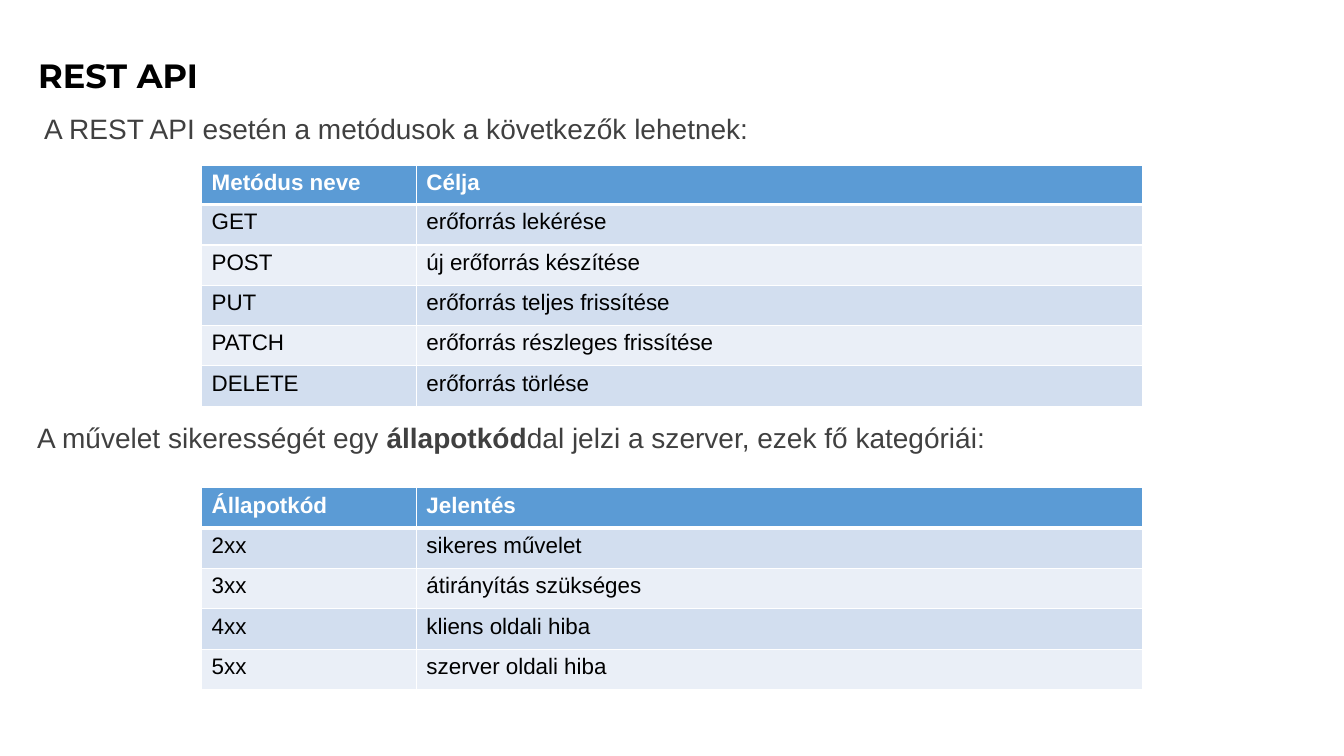
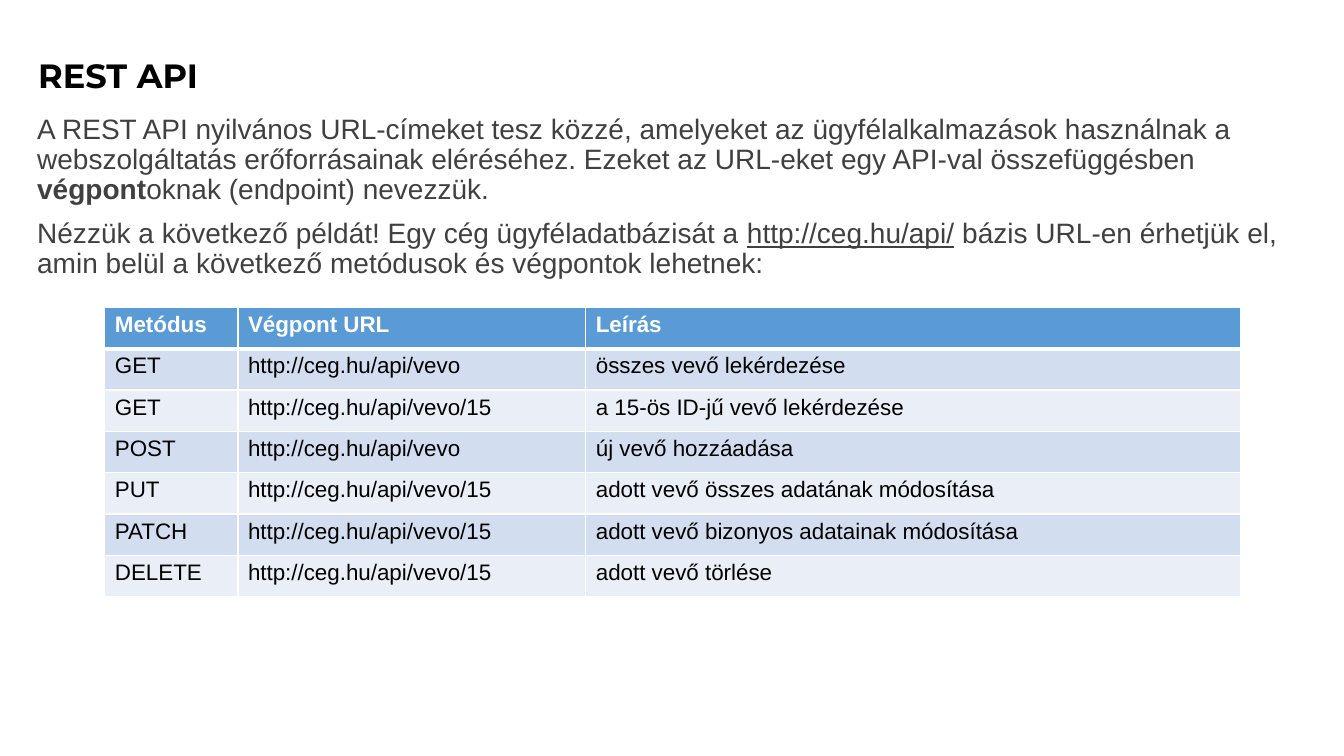
from dataclasses import dataclass

from lxml.etree import SubElement
from pptx import Presentation
from pptx.dml.color import RGBColor
from pptx.enum.text import MSO_ANCHOR
from pptx.oxml.ns import qn
from pptx.slide import Slide
from pptx.table import _Cell as Cell
from pptx.text.text import Font, TextFrame
from pptx.util import Inches, Pt

WHITE, BLACK, BODY_GREY = "FFFFFF", "000000", "404040"
HEADER_BLUE = "5B9BD5"
BANDS = ("D2DEEF", "EAEFF7")
TITLE_FONT, BODY_FONT = "Montserrat", "Arial"
BODY_LEFT, BODY_TOP, BODY_WIDTH = 0.27, 1.09, 12.62
THIN, THICK = 1, 3


@dataclass(frozen=True)
class Span:
    text: str
    bold: bool = False
    underline: bool = False


@dataclass(frozen=True)
class BodyText:
    top: float
    height: float
    paragraphs: list[list[Span]]
    left: float = BODY_LEFT


@dataclass(frozen=True)
class TableData:
    left: float
    top: float
    column_widths: list[float]
    header_height: float
    row_height: float
    rows: list[tuple[str, ...]]


@dataclass(frozen=True)
class SlideContent:
    title: str
    texts: list[BodyText]
    tables: list[TableData]


def color(value: str) -> RGBColor:
    return RGBColor.from_string(value)


def style_font(font: Font, name: str, size: int, fill: str, bold: bool = False) -> None:
    font.name = name
    font.size = Pt(size)
    font.color.rgb = color(fill)
    font.bold = bold


def add_text_frame(slide: Slide, left: float, top: float, width: float, height: float) -> TextFrame:
    box = slide.shapes.add_textbox(Inches(left), Inches(top), Inches(width), Inches(height))
    box.text_frame.word_wrap = True
    return box.text_frame


def add_title(slide: Slide, title: str) -> None:
    text_frame = add_text_frame(slide, 0.28, 0.02, 11.5, 1.45)
    text_frame.vertical_anchor = MSO_ANCHOR.MIDDLE
    text_frame.text = title
    style_font(text_frame.paragraphs[0].runs[0].font, TITLE_FONT, 24, BLACK, bold=True)


def add_body_text(slide: Slide, body: BodyText) -> None:
    text_frame = add_text_frame(slide, body.left, body.top, BODY_WIDTH, body.height)
    for index, spans in enumerate(body.paragraphs):
        paragraph = text_frame.add_paragraph() if index else text_frame.paragraphs[0]
        paragraph.line_spacing = 0.9
        paragraph.space_before = Pt(10 if index else 0)
        for span in spans:
            run = paragraph.add_run()
            run.text = span.text
            style_font(run.font, BODY_FONT, 20, BODY_GREY, span.bold)
            run.font.underline = span.underline


def set_borders(cell: Cell, top: int, bottom: int) -> None:
    """Draw white cell borders; must run before the cell gets its fill."""
    properties = cell._tc.get_or_add_tcPr()
    for tag, width in (("lnL", THIN), ("lnR", THIN), ("lnT", top), ("lnB", bottom)):
        line = SubElement(properties, qn(f"a:{tag}"), w=str(Pt(width)))
        fill = SubElement(line, qn("a:solidFill"))
        SubElement(fill, qn("a:srgbClr"), val=WHITE)


def add_table(slide: Slide, data: TableData) -> None:
    body_rows = len(data.rows) - 1
    height = data.header_height + body_rows * data.row_height
    table = slide.shapes.add_table(
        len(data.rows), len(data.column_widths),
        Inches(data.left), Inches(data.top),
        Inches(sum(data.column_widths)), Inches(height),
    ).table
    for column, width in zip(table.columns, data.column_widths):
        column.width = Inches(width)
    for row_index, texts in enumerate(data.rows):
        is_header = row_index == 0
        row = table.rows[row_index]
        row.height = Inches(data.header_height if is_header else data.row_height)
        for cell, text in zip(row.cells, texts):
            set_borders(cell, THICK if row_index == 1 else THIN, THICK if is_header else THIN)
            cell.fill.solid()
            cell.fill.fore_color.rgb = color(HEADER_BLUE if is_header else BANDS[(row_index - 1) % 2])
            cell.text_frame.text = text
            style_font(cell.text_frame.paragraphs[0].runs[0].font, BODY_FONT, 16,
                       WHITE if is_header else BLACK, is_header)


SLIDES = [
    SlideContent(
        "REST API",
        [
            BodyText(BODY_TOP, 0.4, [[Span("A REST API esetén a metódusok a következők lehetnek:")]], left=0.34),
            BodyText(4.16, 0.4, [[
                Span("A művelet sikerességét egy "),
                Span("állapotkód", bold=True),
                Span("dal jelzi a szerver, ezek fő kategóriái:"),
            ]]),
        ],
        [
            TableData(2, 1.64, [2.13, 7.2], 0.39, 0.4, [
                ("Metódus neve", "Célja"),
                ("GET", "erőforrás lekérése"),
                ("POST", "új erőforrás készítése"),
                ("PUT", "erőforrás teljes frissítése"),
                ("PATCH", "erőforrás részleges frissítése"),
                ("DELETE", "erőforrás törlése"),
            ]),
            TableData(2, 4.84, [2.13, 7.2], 0.4, 0.4, [
                ("Állapotkód", "Jelentés"),
                ("2xx", "sikeres művelet"),
                ("3xx", "átirányítás szükséges"),
                ("4xx", "kliens oldali hiba"),
                ("5xx", "szerver oldali hiba"),
            ]),
        ],
    ),
    SlideContent(
        "REST API",
        [
            BodyText(BODY_TOP, 1.8, [
                [
                    Span("A REST API nyilvános URL-címeket tesz közzé, amelyeket az ügyfélalkalmazások "
                         "használnak a webszolgáltatás erőforrásainak eléréséhez. Ezeket az URL-eket "
                         "egy API-val összefüggésben "),
                    Span("végpont", bold=True),
                    Span("oknak (endpoint) nevezzük."),
                ],
                [
                    Span("Nézzük a következő példát! Egy cég ügyféladatbázisát a "),
                    Span("http://ceg.hu/api/", underline=True),
                    Span(" bázis URL-en érhetjük el, amin belül a következő metódusok és végpontok lehetnek:"),
                ],
            ]),
        ],
        [
            TableData(1.04, 3.05, [1.32, 3.45, 6.49], 0.41, 0.41, [
                ("Metódus", "Végpont URL", "Leírás"),
                ("GET", "http://ceg.hu/api/vevo", "összes vevő lekérdezése"),
                ("GET", "http://ceg.hu/api/vevo/15", "a 15-ös ID-jű vevő lekérdezése"),
                ("POST", "http://ceg.hu/api/vevo", "új vevő hozzáadása"),
                ("PUT", "http://ceg.hu/api/vevo/15", "adott vevő összes adatának módosítása"),
                ("PATCH", "http://ceg.hu/api/vevo/15", "adott vevő bizonyos adatainak módosítása"),
                ("DELETE", "http://ceg.hu/api/vevo/15", "adott vevő törlése"),
            ]),
        ],
    ),
]


def main() -> None:
    presentation = Presentation()
    presentation.slide_width = Inches(13.33)
    presentation.slide_height = Inches(7.5)
    blank_layout = presentation.slide_layouts[6]
    for content in SLIDES:
        slide = presentation.slides.add_slide(blank_layout)
        add_title(slide, content.title)
        for body in content.texts:
            add_body_text(slide, body)
        for data in content.tables:
            add_table(slide, data)
    presentation.save("out.pptx")


if __name__ == "__main__":
    main()
